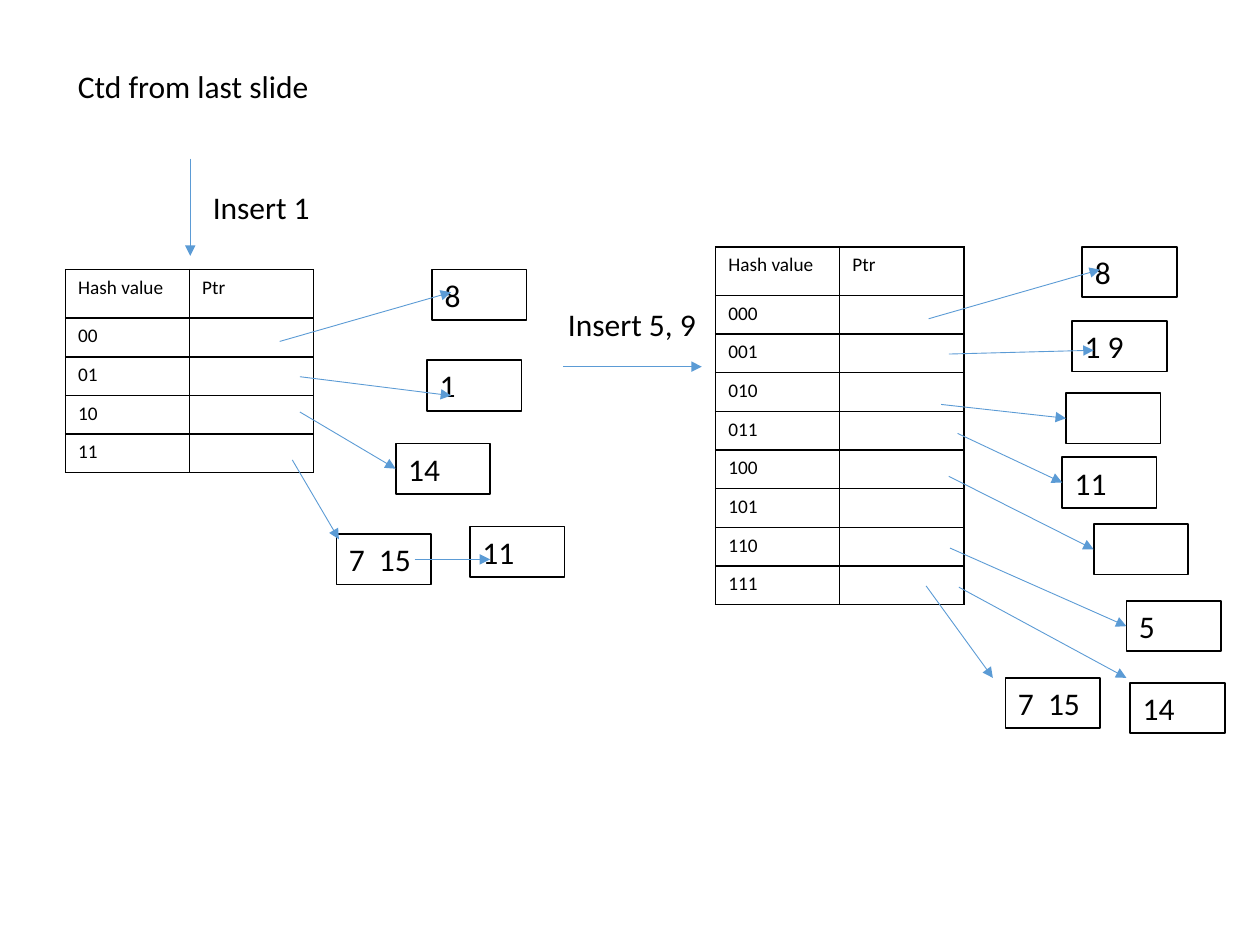
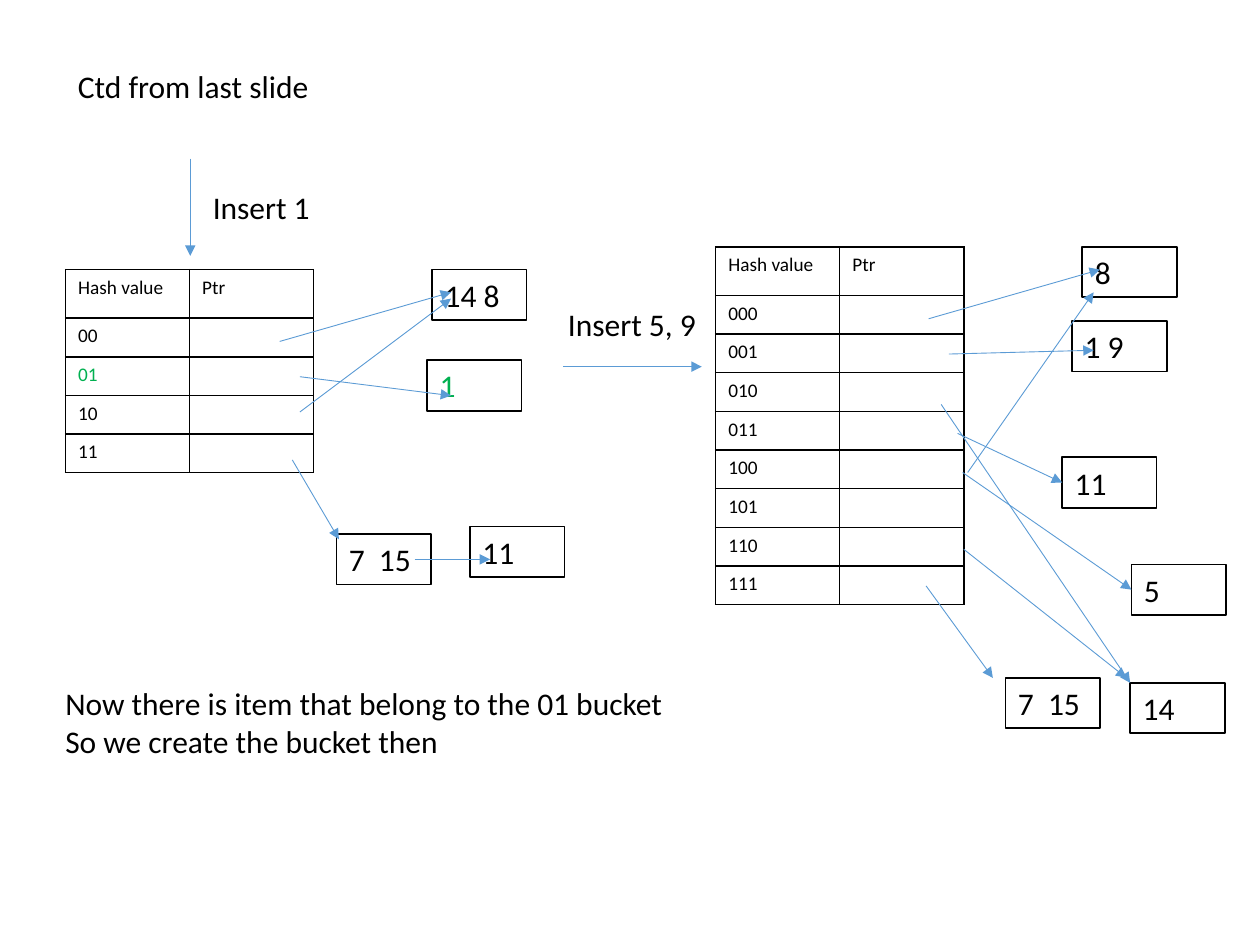
from lxml.etree import SubElement
from pptx import Presentation
from pptx.dml.color import RGBColor
from pptx.enum.shapes import MSO_CONNECTOR as Connector, MSO_SHAPE as Shape
from pptx.enum.text import MSO_ANCHOR as Anchor, MSO_AUTO_SIZE as AutoSize, PP_ALIGN as Align
from pptx.oxml.ns import qn
from pptx.util import Inches, Pt

FONT = "Calibri"
BLACK = "000000"
BLUE = "5B9BD5"
GREEN = "00B050"
BUCKET_SIZE = (0.75, 0.4)
COLUMN_WIDTH = 0.985
HEADER_HEIGHT = 0.385
ROW_HEIGHT = 0.307

LEFT_ORIGIN = (0.52, 2.14)
LEFT_BUCKETS = [("7  15", 2.15, 2.1), ("11", 3.21, 2.04)]
LEFT_ARROWS = [
    (0.99, -0.88, 0.99, -0.11),
    (1.7, 0.57, 3.06, 0.18),
    (1.86, 0.85, 3.06, 1),
    (2.77, 2.3, 3.37, 2.3),
    (1.8, 1.51, 2.17, 2.14),
]

RIGHT_ORIGIN = (5.68, 1.96)
RIGHT_BUCKETS = [
    ("8", 2.91, 0),
    ("1 9", 2.83, 0.59),
    ("11", 2.75, 1.67),
    ("7  15", 2.3, 3.42),
    ("14", 3.29, 3.46),
]
RIGHT_ARROWS = [
    (-1.21, 0.95, -0.11, 0.95),
    (1.69, 0.57, 3.05, 0.18),
    (1.85, 0.85, 3, 0.82),
    (1.92, 1.48, 2.75, 1.87),
    (1.67, 2.69, 2.2, 3.42),
]


def rgb(color):
    return RGBColor.from_string(color)


def add_span(para, text, size, color=BLACK):
    span = para.add_run()
    span.text = text
    span.font.name = FONT
    span.font.size = Pt(size)
    span.font.color.rgb = rgb(color)


def add_caption(page, left, top, width, lines):
    height = 0.1 + 0.3 * len(lines)
    box = page.shapes.add_textbox(Inches(left), Inches(top), Inches(width), Inches(height))
    frame = box.text_frame
    frame.word_wrap = False
    frame.auto_size = AutoSize.SHAPE_TO_FIT_TEXT
    for index, line in enumerate(lines):
        para = frame.add_paragraph() if index else frame.paragraphs[0]
        add_span(para, line, 18)


def add_bucket(page, left, top, text, color):
    width, height = BUCKET_SIZE
    bucket = page.shapes.add_shape(
        Shape.RECTANGLE, Inches(left), Inches(top), Inches(width), Inches(height))
    bucket.shadow.inherit = False
    bucket.fill.background()
    bucket.line.color.rgb = rgb(BLACK)
    bucket.line.width = Pt(1)
    frame = bucket.text_frame
    frame.word_wrap = True
    frame.vertical_anchor = Anchor.TOP
    para = frame.paragraphs[0]
    para.alignment = Align.LEFT
    if text:
        add_span(para, text, 18, color)


def add_arrow(page, start, end):
    arrow = page.shapes.add_connector(
        Connector.STRAIGHT, *(Inches(value) for value in (*start, *end)))
    arrow.line.color.rgb = rgb(BLUE)
    arrow.line.width = Pt(0.5)
    SubElement(arrow.line._get_or_add_ln(), qn("a:tailEnd"), type="triangle")
    SubElement(arrow._element.spPr, qn("a:effectLst"))


def style_cell(cell, text, color):
    properties = cell._tc.get_or_add_tcPr()
    for side in ("lnL", "lnR", "lnT", "lnB"):
        border = SubElement(properties, qn(f"a:{side}"), w=str(Pt(1)))
        fill = SubElement(border, qn("a:solidFill"))
        SubElement(fill, qn("a:srgbClr"), val=BLACK)
    cell.fill.background()
    para = cell.text_frame.paragraphs[0]
    if text:
        add_span(para, text, 11, color)
    else:
        SubElement(para._p, qn("a:endParaRPr"), sz="1100")


def add_hash_table(page, left, top, bits, green_key):
    keys = [format(number, f"0{bits}b") for number in range(2 ** bits)]
    rows = [("Hash value", "Ptr")] + [(key, "") for key in keys]
    height = HEADER_HEIGHT + ROW_HEIGHT * len(keys)
    table = page.shapes.add_table(
        len(rows), 2, Inches(left), Inches(top),
        Inches(2 * COLUMN_WIDTH), Inches(height)).table
    table.first_row = table.horz_banding = False
    for column in table.columns:
        column.width = Inches(COLUMN_WIDTH)
    for index, texts in enumerate(rows):
        table.rows[index].height = Inches(ROW_HEIGHT if index else HEADER_HEIGHT)
        for column, text in enumerate(texts):
            color = GREEN if text and text == green_key else BLACK
            style_cell(table.cell(index, column), text, color)


def add_stage(page, origin, bits, buckets, arrows, green_key=None):
    left, top = origin
    add_hash_table(page, left, top, bits, green_key)
    for text, x, y, *color in buckets:
        add_bucket(page, left + x, top + y, text, color[0] if color else BLACK)
    for x1, y1, x2, y2 in arrows:
        add_arrow(page, (left + x1, top + y1), (left + x2, top + y2))


def add_left_stage(page, buckets, arrows, green_key=None):
    left, top = LEFT_ORIGIN
    add_caption(page, left + 1.07, top - 0.7, 0.98, ["Insert 1"])
    add_stage(page, LEFT_ORIGIN, 2, LEFT_BUCKETS + buckets, LEFT_ARROWS + arrows, green_key)


def add_right_stage(page, buckets, arrows):
    left, top = RIGHT_ORIGIN
    add_caption(page, left - 1.27, top + 0.41, 1.23, ["Insert 5, 9"])
    add_stage(page, RIGHT_ORIGIN, 3, RIGHT_BUCKETS + buckets, RIGHT_ARROWS + arrows)


def add_page(deck):
    page = deck.slides.add_slide(deck.slide_layouts[6])
    add_caption(page, 0.52, 0.48, 2.05, ["Ctd from last slide"])
    return page


def add_empty_buckets_page(deck):
    page = add_page(deck)
    add_left_stage(
        page,
        [("8", 2.91, 0), ("1", 2.87, 0.72), ("14", 2.62, 1.38)],
        [(1.86, 1.13, 2.62, 1.58)])
    add_right_stage(
        page,
        [("", 2.78, 1.16), ("", 3, 2.2), ("5", 3.26, 2.81)],
        [(1.79, 1.25, 2.78, 1.36), (1.85, 1.82, 3, 2.4),
         (1.86, 2.39, 3.26, 3.01), (1.93, 2.7, 3.26, 3.42)])


def add_shared_buckets_page(deck):
    page = add_page(deck)
    add_left_stage(
        page,
        [("14 8", 2.91, 0), ("1", 2.87, 0.72, GREEN)],
        [(1.86, 1.13, 3.06, 0.23)],
        green_key="01")
    add_right_stage(
        page,
        [("5", 3.3, 2.52)],
        [(1.79, 1.25, 3.29, 3.46), (2, 1.79, 3, 0.36),
         (1.96, 1.79, 3.3, 2.72), (1.97, 2.4, 3.26, 3.42)])
    add_caption(page, 0.42, 5.38, 5.06, [
        "Now there is item that belong to the 01 bucket",
        "So we create the bucket then",
    ])


def main():
    deck = Presentation()
    deck.slide_width = Inches(10)
    deck.slide_height = Inches(7.5)
    add_empty_buckets_page(deck)
    add_shared_buckets_page(deck)
    deck.save("out.pptx")


if __name__ == "__main__":
    main()
